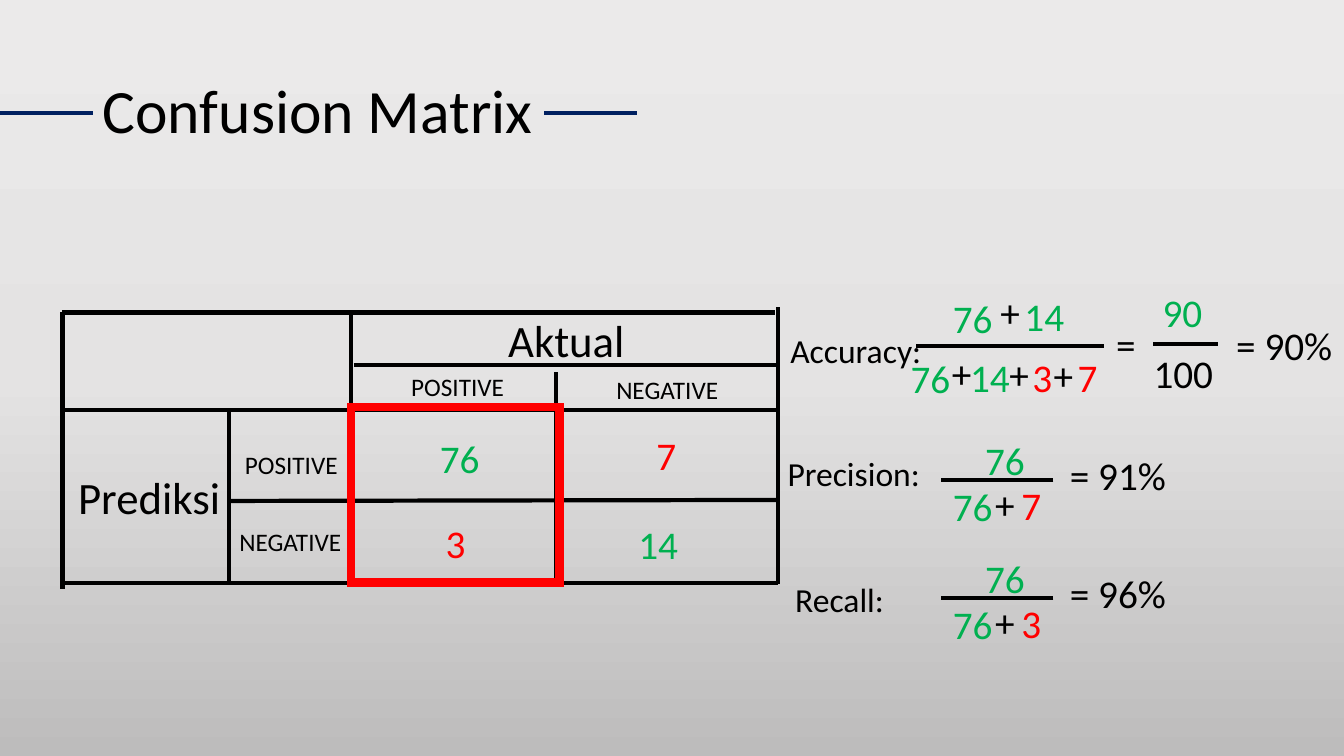
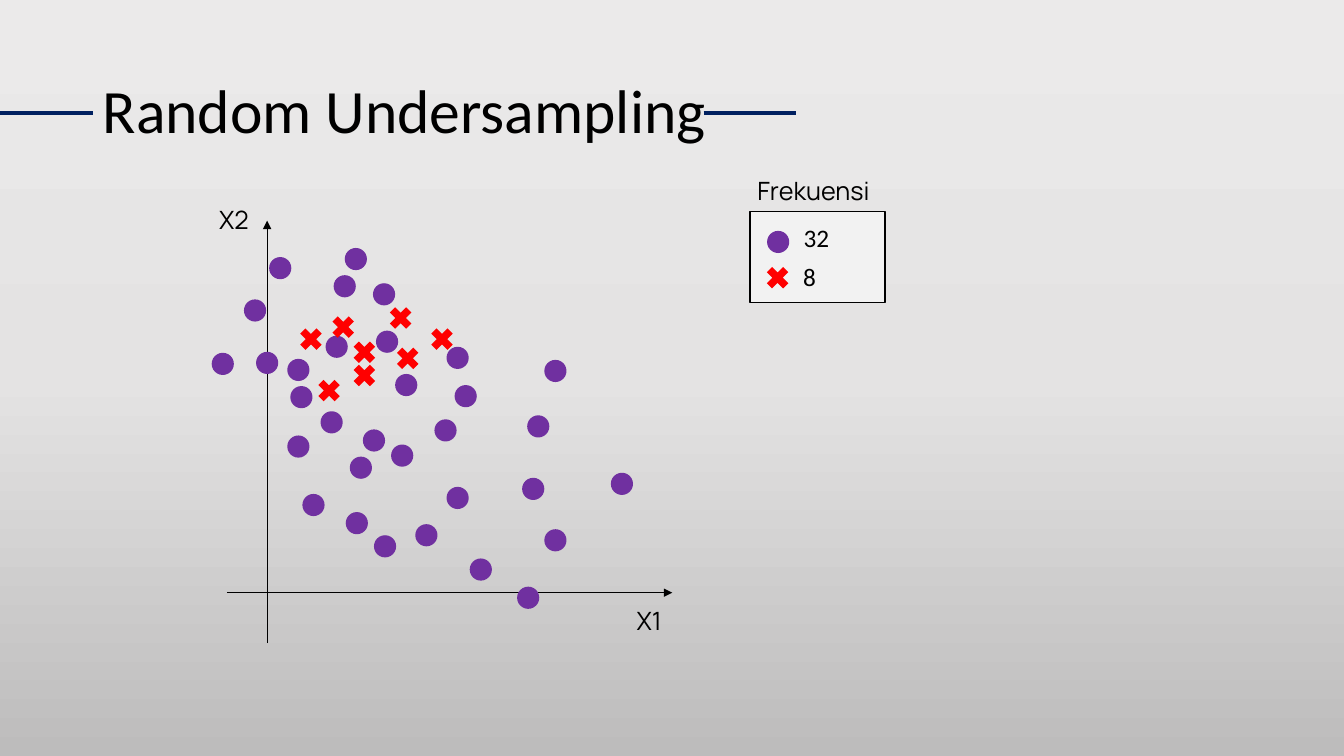
"""Build two slides: a confusion matrix with its metrics and a random undersampling scatter."""
from lxml.etree import SubElement
from pptx import Presentation
from pptx.dml.color import RGBColor
from pptx.enum.shapes import MSO_CONNECTOR, MSO_SHAPE
from pptx.enum.text import MSO_ANCHOR, PP_ALIGN
from pptx.oxml.ns import qn
from pptx.util import Inches, Pt

rgb = RGBColor.from_string
BLACK, NAVY, GREEN, RED, PURPLE = "000000", "002060", "00B050", "FF0000", "7030A0"
PANEL = "F2F2F2"
BACKDROP = {0: "EBEAEA", 50000: "E4E3E3", 100000: "BDBCBC"}
BODY, AXIS = "Calibri", "Manrope"


def write(frame, content, size, color=BLACK, font=BODY, align=PP_ALIGN.CENTER):
    para = frame.paragraphs[0]
    para.alignment = align
    span = para.add_run()
    span.text = content
    for name, value in {"name": font, "size": Pt(size)}.items():
        setattr(span.font, name, value)
    span.font.color.rgb = rgb(color)


def draw_line(page, start, end, color=BLACK, weight=3, arrow=False):
    ends = [Inches(value) for value in (*start, *end)]
    line = page.shapes.add_connector(MSO_CONNECTOR.STRAIGHT, *ends)
    line.line.color.rgb = rgb(color)
    line.line.width = Pt(weight)
    if arrow:
        SubElement(line.element.spPr.find(qn("a:ln")), qn("a:tailEnd"), type="triangle")
    SubElement(line.element.spPr, qn("a:effectLst"))


deck = Presentation()
deck.slide_width, deck.slide_height = Inches(40 / 3), Inches(7.5)

master = deck.slide_master
backdrop = master.background.fill
backdrop.gradient()
backdrop.gradient_angle = 270
stops = next(master.element.iter(qn("a:gsLst")))
for stop in list(stops):
    stops.remove(stop)
for position, color in BACKDROP.items():
    stop = SubElement(stops, qn("a:gs"), pos=str(position))
    SubElement(stop, qn("a:srgbClr"), val=color)

pages = []
for title, rule_left in (("Confusion Matrix", 5.4), ("Random Undersampling", 6.98)):
    page = deck.slides.add_slide(deck.slide_layouts[6])
    box = page.shapes.add_textbox(Inches(0.92), Inches(0.4), Inches(11.5), Inches(1.45))
    for name, value in {"word_wrap": True, "vertical_anchor": MSO_ANCHOR.MIDDLE}.items():
        setattr(box.text_frame, name, value)
    write(box.text_frame, title, 44, align=PP_ALIGN.LEFT)
    box.text_frame.paragraphs[0].line_spacing = 0.9
    for left in (0, rule_left):
        draw_line(page, (left, 1.12), (left + 0.92, 1.12), NAVY)
    pages.append(page)
matrix_page, scatter_page = pages

for start, end in (
    ((0.62, 3.1), (7.69, 3.1)), ((3.51, 3.62), (7.74, 3.62)), ((0.62, 4.07), (7.72, 4.07)),
    ((2.27, 4.97), (7.72, 4.96)), ((0.62, 5.78), (7.72, 5.78)),
    ((0.62, 5.84), (0.62, 3.1)), ((2.27, 5.78), (2.27, 4.06)), ((3.48, 5.79), (3.48, 3.1)),
    ((5.52, 5.78), (5.52, 3.69)), ((7.72, 5.79), (7.72, 3.05)),
):
    draw_line(matrix_page, start, end)

frame = matrix_page.shapes.add_shape(
    MSO_SHAPE.RECTANGLE, Inches(3.48), Inches(4.04), Inches(2.07), Inches(1.74))
frame.shadow.inherit = False
frame.fill.background()
frame.line.color.rgb = rgb(RED)
frame.line.width = Pt(6)
SubElement(frame.element.spPr.find(qn("a:ln")), qn("a:miter"), lim="800000")

matrix_labels = [
    (content, centre, top, size, color, BODY)
    for content, centre, top, size, color in (
        ("Aktual", 5.62, 3.05, 32, BLACK), ("Prediksi", 1.48, 4.61, 32, BLACK),
        ("POSITIVE", 4.54, 3.63, 18, BLACK), ("NEGATIVE", 6.62, 3.66, 18, BLACK),
        ("POSITIVE", 2.89, 4.41, 18, BLACK), ("NEGATIVE", 2.88, 5.17, 18, BLACK),
        ("76", 4.56, 4.26, 28, GREEN), ("7", 6.61, 4.23, 28, RED),
        ("3", 4.52, 5.1, 28, RED), ("14", 6.53, 5.11, 28, GREEN),
        ("Accuracy:", 8.49, 3.22, 24, BLACK), ("Precision:", 8.47, 4.44, 24, BLACK),
        ("Recall:", 8.33, 5.69, 24, BLACK),
        ("76", 9.65, 2.87, 28, GREEN), ("+", 10.02, 2.81, 28, BLACK),
        ("14", 10.36, 2.85, 28, GREEN), ("76", 9.23, 3.47, 28, GREEN),
        ("+", 9.54, 3.42, 28, BLACK), ("14", 9.82, 3.46, 28, GREEN),
        ("+", 10.11, 3.43, 28, BLACK), ("3", 10.34, 3.46, 28, RED),
        ("+", 10.55, 3.44, 28, BLACK), ("7", 10.79, 3.46, 28, RED),
        ("=", 11.17, 3.13, 28, BLACK), ("90", 11.73, 2.81, 28, GREEN),
        ("100", 11.74, 3.42, 28, BLACK), ("= 90%", 12.74, 3.14, 28, BLACK),
    )
]
draw_line(matrix_page, (10.95, 3.43), (9.09, 3.43))
draw_line(matrix_page, (12.08, 3.41), (11.44, 3.41))

for bar, errors, result in ((4.76, "7", "= 91%"), (5.93, "3", "= 96%")):
    draw_line(matrix_page, (10.45, bar), (9.34, bar))
    for content, centre, offset, color in (
        ("76", 9.97, -0.48, GREEN), ("76", 9.65, -0.02, GREEN), ("+", 9.97, -0.04, BLACK),
        (errors, 10.23, -0.03, RED), (result, 11.09, -0.33, BLACK),
    ):
        matrix_labels.append((content, centre, bar + offset, 28, color, BODY))

draw_line(scatter_page, (2.65, 6.38), (2.65, 2.19), weight=0.5, arrow=True)
draw_line(scatter_page, (2.25, 5.88), (6.67, 5.88), weight=0.5, arrow=True)

legend = scatter_page.shapes.add_shape(
    MSO_SHAPE.RECTANGLE, Inches(7.44), Inches(2.1), Inches(1.34), Inches(0.9))
legend.shadow.inherit = False
legend.fill.solid()
legend.fill.fore_color.rgb = rgb(PANEL)
legend.line.color.rgb = rgb(BLACK)
legend.line.width = Pt(1)

majority = [
    (3.18, 4.08), (4.43, 3.44), (3.7, 2.81), (2.85, 3.56), (5.23, 4.12), (4.31, 4.16),
    (3.6, 4.26), (5.4, 5.25), (3.71, 5.31), (3.43, 5.08), (6.06, 4.69), (5.18, 4.74),
    (4.43, 4.83), (3, 4.9), (3.31, 2.73), (4.12, 5.2), (5.13, 5.82), (2.88, 3.83),
    (2.85, 4.32), (3.92, 3.71), (4.66, 5.54), (2.42, 2.97), (2.54, 3.49), (2.1, 3.5),
    (3.42, 2.46), (2.67, 2.55), (3.23, 3.33), (3.73, 3.28), (5.4, 3.57), (4.51, 3.82),
    (3.47, 4.53), (3.88, 4.41),
]
minority = [
    (3.11, 3.72), (3.25, 3.09), (3.46, 3.57), (2.93, 3.21),
    (3.82, 3), (4.23, 3.21), (3.89, 3.4), (3.46, 3.34),
]
legend_dot, legend_cross = (7.61, 2.29), (7.56, 2.6)
for preset, size, color, places in (
    (MSO_SHAPE.OVAL, 0.22, PURPLE, majority + [legend_dot]),
    (MSO_SHAPE.MATH_MULTIPLY, 0.31, RED, minority + [legend_cross]),
):
    for left, top in places:
        marker = scatter_page.shapes.add_shape(
            preset, Inches(left), Inches(top), Inches(size), Inches(size))
        marker.shadow.inherit = False
        marker.fill.solid()
        marker.fill.fore_color.rgb = rgb(color)
        marker.line.fill.background()

scatter_labels = [
    ("Frekuensi", 8.07, 1.69, 18, BLACK, AXIS),
    (str(len(majority)), 8.1, 2.16, 18, BLACK, BODY),
    (str(len(minority)), 8.03, 2.54, 18, BLACK, BODY),
    ("X1", 6.44, 5.96, 18, BLACK, AXIS),
    ("X2", 2.32, 1.98, 18, BLACK, AXIS),
]
for page, labels in ((matrix_page, matrix_labels), (scatter_page, scatter_labels)):
    for content, centre, top, size, color, font in labels:
        width = 0.1 + len(content) * size * 0.0075
        height = 0.1 + size * 1.22 / 72
        box = page.shapes.add_textbox(
            Inches(centre - width / 2), Inches(top), Inches(width), Inches(height))
        for name, value in {"word_wrap": False, "margin_left": 0, "margin_right": 0}.items():
            setattr(box.text_frame, name, value)
        write(box.text_frame, content, size, color, font)

deck.save("out.pptx")
